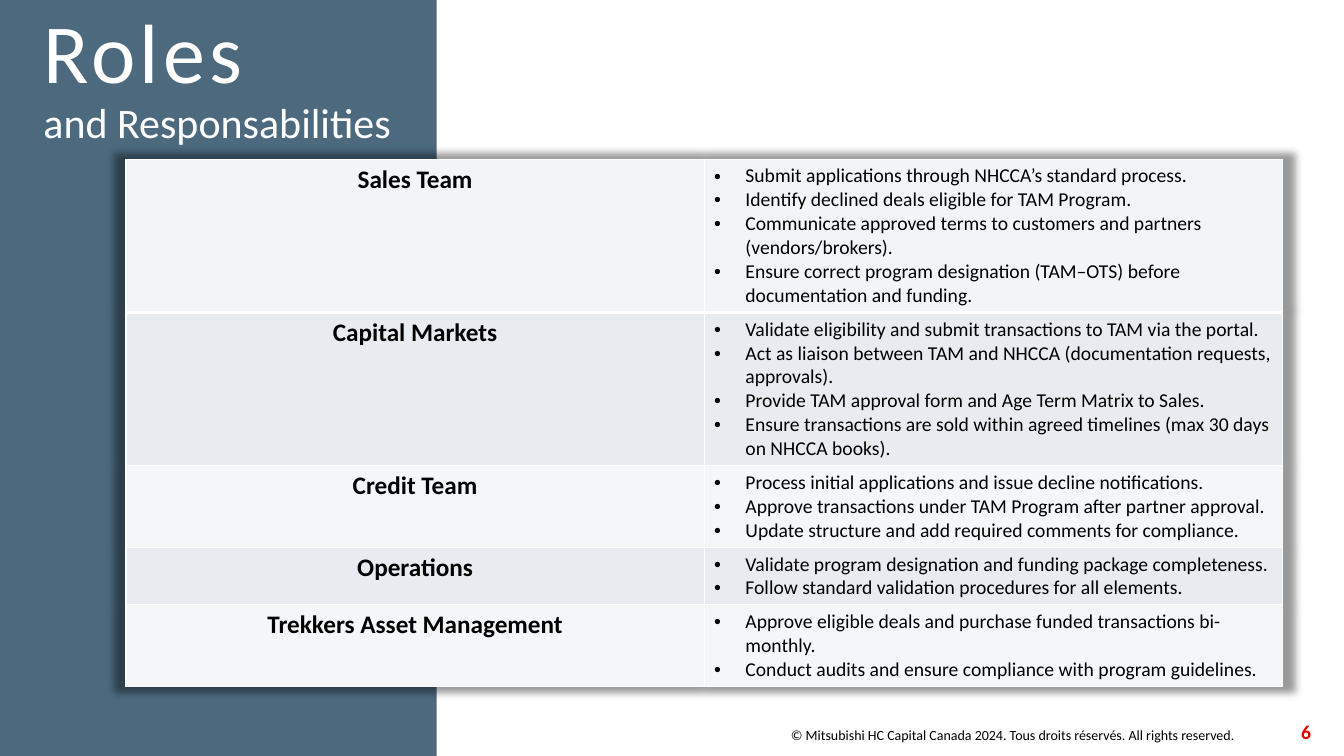
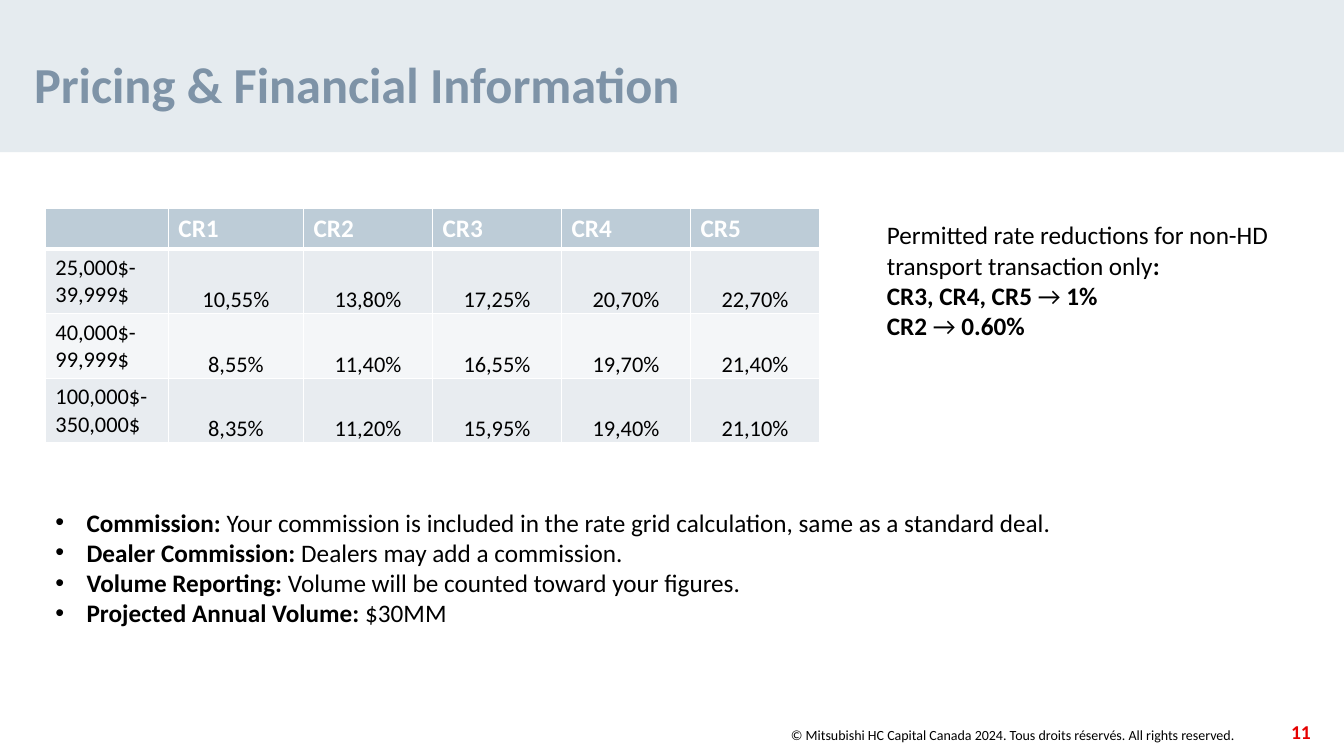
from lxml import etree
from pptx import Presentation, util as u
from pptx.dml.color import RGBColor
from pptx.enum import shapes, text
from pptx.oxml import parse_xml
from pptx.oxml.ns import nsdecls, qn

LEFT, CENTER, RIGHT = text.PP_ALIGN.LEFT, text.PP_ALIGN.CENTER, text.PP_ALIGN.RIGHT
TOP, MIDDLE, BOTTOM = (text.MSO_ANCHOR.TOP, text.MSO_ANCHOR.MIDDLE,
                       text.MSO_ANCHOR.BOTTOM)

WHITE, BLACK, RED = "FFFFFF", "000000", "E60000"
SLATE, STEEL, MIST = "4C697E", "7E93A7", "E5EBEF"
HEADER, FIRST_ROW, BANDS = "BDCCD7", "F2F5F7", ("E8ECF0", "F4F6F8")
COPYRIGHT = ("© Mitsubishi HC Capital Canada 2024. Tous droits réservés. "
             "All rights reserved.")

ROLES = [
    ("Sales Team", 20.27, [
        "Submit applications through NHCCA’s standard process.",
        "Identify declined deals eligible for TAM Program.",
        "Communicate approved terms to customers and partners (vendors/brokers).",
        "Ensure correct program designation (TAM–OTS) before documentation and funding."]),
    ("Capital Markets", 20.27, [
        "Validate eligibility and submit transactions to TAM via the portal.",
        "Act as liaison between TAM and NHCCA (documentation requests, approvals).",
        "Provide TAM approval form and Age Term Matrix to Sales.",
        "Ensure transactions are sold within agreed timelines (max 30 days on NHCCA books)."]),
    ("Credit Team", 10.8, [
        "Process initial applications and issue decline notifications.",
        "Approve transactions under TAM Program after partner approval.",
        "Update structure and add required comments for compliance."]),
    ("Operations", 7.6, [
        "Validate program designation and funding package completeness.",
        "Follow standard validation procedures for all elements."]),
    ("Trekkers Asset Management", 10.8, [
        "Approve eligible deals and purchase funded transactions bi-monthly.",
        "Conduct audits and ensure compliance with program guidelines."]),
]

RATE_HEADINGS = ["", "CR1", "CR2", "CR3", "CR4", "CR5"]
RATES = [
    ["25,000$-39,999$", "10,55%", "13,80%", "17,25%", "20,70%", "22,70%"],
    ["40,000$-99,999$", "8,55%", "11,40%", "16,55%", "19,70%", "21,40%"],
    ["100,000$-350,000$", "8,35%", "11,20%", "15,95%", "19,40%", "21,10%"],
]

# Mixed paragraphs are lists of (words, bold) pairs.
TERMS = [[(label, True), (detail, False)] for label, detail in [
    ("Commission:", " Your commission is included in the rate grid calculation, "
                    "same as a standard deal."),
    ("Dealer Commission:", " Dealers may add a commission."),
    ("Volume Reporting:", " Volume will be counted toward your figures."),
    ("Projected Annual Volume:", " $30MM"),
]]
REDUCTIONS = [
    [("Permitted rate reductions for non-HD transport transaction only", False),
     (":", True)],
    [("CR3, CR4, CR5", True), (" → ", False), ("1%", True)],
    [("CR2", True), (" → ", False), ("0.60%", True)],
]


def rgb(color):
    return RGBColor.from_string(color)


class Deck:
    """Holds the style and the current slide; lengths are percent of the slide."""

    font = "Calibri"
    indent = u.Inches(0.31)

    def __init__(self):
        self.prs = Presentation()
        self.prs.slide_width, self.prs.slide_height = u.Inches(13.33), u.Inches(7.5)
        self.slide = None

    def x(self, share):
        return round(self.prs.slide_width * share / 100)

    def y(self, share):
        return round(self.prs.slide_height * share / 100)

    def box(self, left, top, width, height):
        return self.x(left), self.y(top), self.x(width), self.y(height)

    def new_slide(self, number, band_size, band_color):
        """Add a blank slide with its colour band, copyright line and number."""
        self.slide = self.prs.slides.add_slide(self.prs.slide_layouts[6])
        self.band(*band_size, band_color)
        self.label((46, 93.6, 46.57, 5.33), [COPYRIGHT], 10,
                   align=RIGHT, anchor=BOTTOM)
        self.label((92.65, 93.6, 5.63, 5.33), [str(number)], 14, RED, True,
                   align=RIGHT, anchor=BOTTOM)

    def band(self, width, height, color):
        band = self.slide.shapes.add_shape(
            shapes.MSO_SHAPE.RECTANGLE, *self.box(0, 0, width, height))
        band.shadow.inherit = False
        band.fill.solid()
        band.fill.fore_color.rgb = rgb(color)
        band.line.fill.background()

    def label(self, box, paragraphs, size, color=BLACK, bold=False,
              anchor=TOP, **layout):
        frame = self.slide.shapes.add_textbox(*self.box(*box)).text_frame
        frame.word_wrap = True
        frame.vertical_anchor = anchor
        self.fill_text(frame, paragraphs, size, color, bold, **layout)
        return frame

    def title(self, left, top, height, words, size, color, bold=False):
        frame = self.label((left, top, 68.8, height), [words],
                           size, color, bold, anchor=MIDDLE)
        frame.paragraphs[0].line_spacing = 0.9
        return frame.paragraphs[0].runs

    def fill_text(self, frame, paragraphs, size, color=BLACK, bold=False,
                  align=LEFT, bullets=False):
        for index, content in enumerate(paragraphs):
            paragraph = frame.add_paragraph() if index else frame.paragraphs[0]
            paragraph.alignment = align
            if bullets:
                self.bullet(paragraph)
            if isinstance(content, str):
                paragraph.text = content
                weights = [bold] * len(paragraph.runs)
            else:
                for words, _ in content:
                    paragraph.add_run().text = words
                weights = [weight for _, weight in content]
            for run, weight in zip(paragraph.runs, weights):
                run.font.name = self.font
                run.font.size = u.Pt(size)
                run.font.bold = weight
                run.font.color.rgb = rgb(color)

    def bullet(self, paragraph):
        props = paragraph._p.get_or_add_pPr()
        props.set("marL", str(self.indent))
        props.set("indent", str(-self.indent))
        etree.SubElement(props, qn("a:buFont")).set("typeface", "Arial")
        etree.SubElement(props, qn("a:buChar")).set("char", "•")

    def table(self, left, top, widths, heights, first_fill):
        """Add a banded table with white rules, heavier below the first row."""
        table = self.slide.shapes.add_table(
            len(heights), len(widths),
            *self.box(left, top, sum(widths), sum(heights))).table
        table.first_row = table.horz_banding = False
        for column, width in zip(table.columns, widths):
            column.width = self.x(width)
        for index, (row, height) in enumerate(zip(table.rows, heights)):
            row.height = self.y(height)
            for cell in row.cells:
                cell.fill.solid()
                cell.fill.fore_color.rgb = rgb(
                    BANDS[(index - 1) % 2] if index else first_fill)
                self.rules(cell, top=3 if index == 1 else 1,
                           bottom=1 if index else 3)
        return table

    def rules(self, cell, top, bottom):
        props = cell._tc.get_or_add_tcPr()
        sides = {"lnL": 1, "lnR": 1, "lnT": top, "lnB": bottom}
        for position, (side, points) in enumerate(sides.items()):
            props.insert(position, parse_xml(
                f'<a:{side} {nsdecls("a")} w="{u.Pt(points)}"><a:solidFill>'
                f'<a:srgbClr val="{WHITE}"/></a:solidFill></a:{side}>'))

    def shade(self, table):
        """Put a soft shadow all round the table."""
        table._tbl.tblPr.insert(0, parse_xml(
            f'<a:effectLst {nsdecls("a")}><a:outerShdw blurRad="{u.Pt(5)}" '
            'sx="102000" sy="102000" algn="ctr" rotWithShape="0">'
            f'<a:srgbClr val="{BLACK}"><a:alpha val="40000"/></a:srgbClr>'
            '</a:outerShdw></a:effectLst>'))


def roles_slide(deck):
    deck.new_slide(6, (32.5, 100), SLATE)
    heading, subheading = deck.title(
        2.5, 3.6, 13.73, "Roles\vand Responsabilities", 60, WHITE)
    heading._r.get_or_add_rPr().set("spc", "300")
    subheading.font.size = u.Pt(30)

    table = deck.table(9.38, 21.07, [43.01] * 2,
                       [height for _, height, _ in ROLES], FIRST_ROW)
    deck.shade(table)
    for row, (team, _, duties) in zip(table.rows, ROLES):
        team_cell, duties_cell = row.cells
        deck.fill_text(team_cell.text_frame, [team], 18, bold=True, align=CENTER)
        deck.fill_text(duties_cell.text_frame, duties, 14, bullets=True)


def pricing_slide(deck):
    deck.new_slide(11, (100, 20.13), MIST)
    deck.title(1.8, 7.6, 7.87, "Pricing & Financial Information", 36, STEEL, True)

    table = deck.table(3.38, 27.6, [9.15, 10.05] + [9.6] * 4,
                       [5.33] + [8.55] * 3, HEADER)
    for cell, heading in zip(table.rows[0].cells, RATE_HEADINGS):
        deck.fill_text(cell.text_frame, [heading], 18, WHITE, True)
    for row_number, (amount, *rates) in enumerate(RATES, 1):
        amount_cell, *rate_cells = table.rows[row_number].cells
        deck.fill_text(amount_cell.text_frame, [amount], 16)
        for cell, rate in zip(rate_cells, rates):
            cell.vertical_anchor = BOTTOM
            cell.margin_left = cell.margin_right = 0
            cell.margin_top = cell.margin_bottom = 0
            deck.fill_text(cell.text_frame, [rate], 16, align=CENTER)

    deck.label((3.38, 66.4, 90.83, 17.47), TERMS, 18, bullets=True)
    deck.label((65.25, 28.4, 30.23, 21.6), REDUCTIONS, 18)


def main():
    deck = Deck()
    roles_slide(deck)
    pricing_slide(deck)
    deck.prs.save("out.pptx")


if __name__ == "__main__":
    main()
